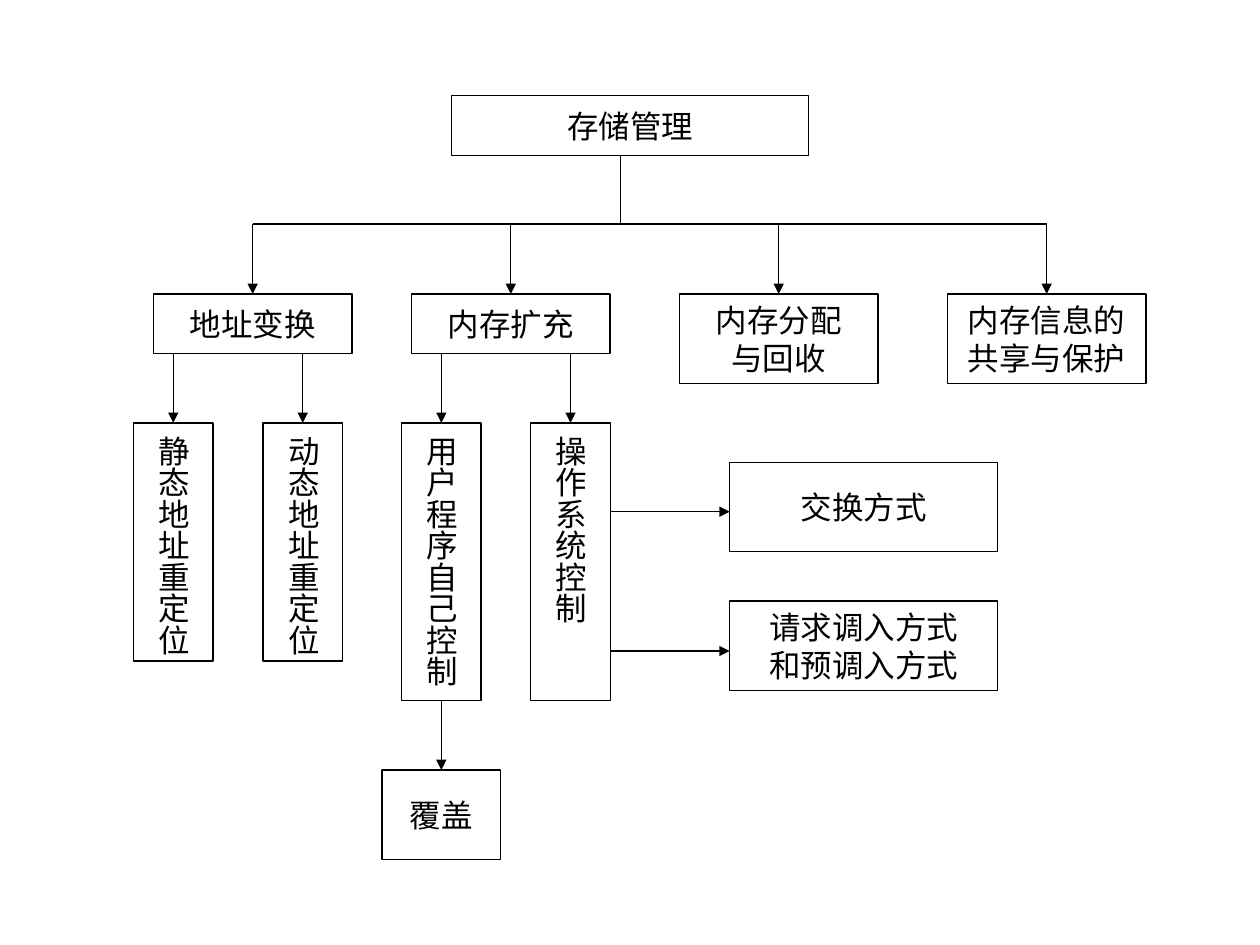
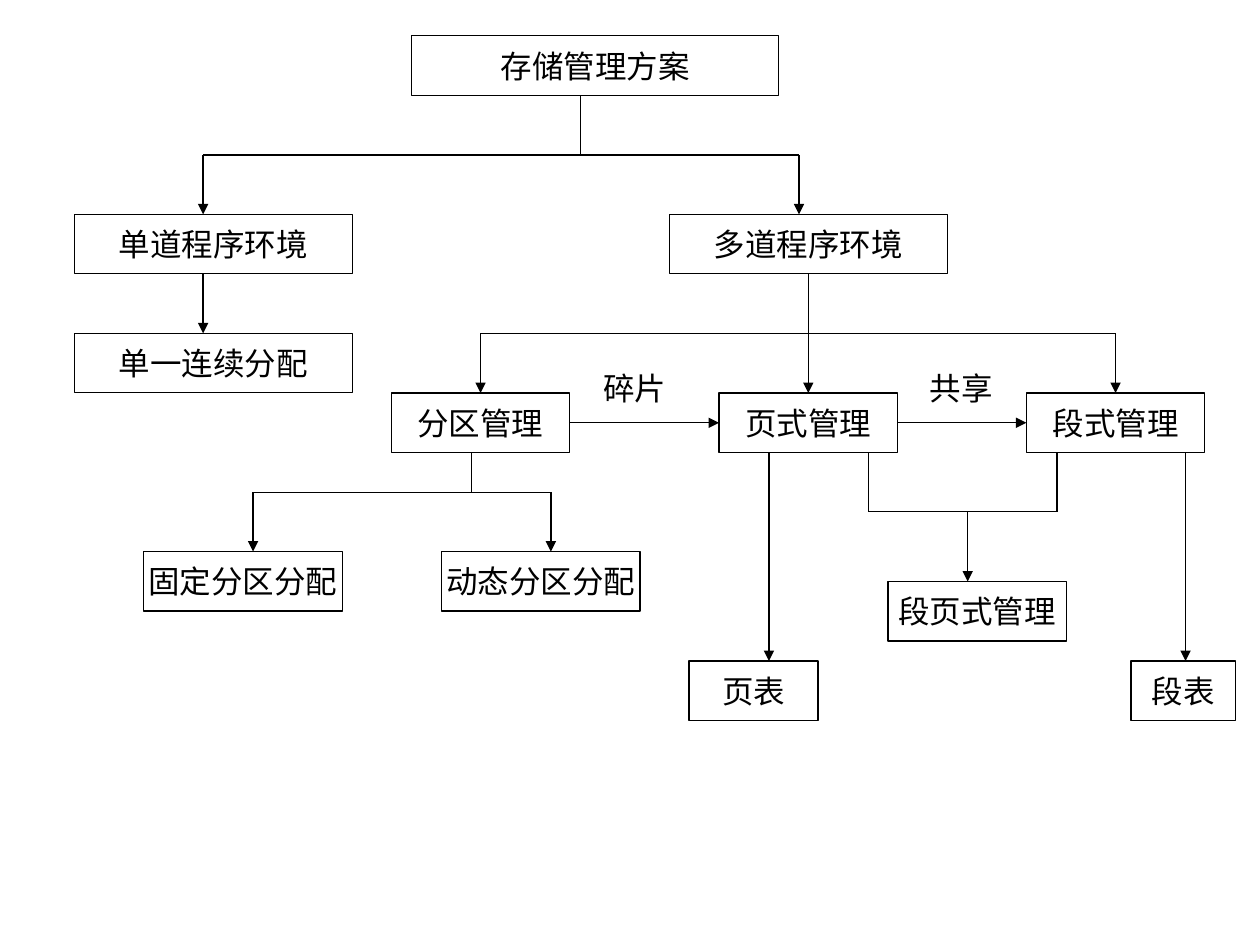
from lxml.etree import SubElement
from pptx import Presentation
from pptx.dml.color import RGBColor
from pptx.enum.shapes import MSO_CONNECTOR, MSO_SHAPE
from pptx.enum.text import MSO_ANCHOR, PP_ALIGN
from pptx.oxml.ns import qn
from pptx.util import Pt

INK, PAPER = "000000", "FFFFFF"
FONT, TEXT_SIZE, LINE_WIDTH = "Arial", 18, 0.75
ROW, TALL_ROW = 34, 51
TOP, LEFT, BOTTOM, RIGHT = range(4)

# rows: top, width, height, vertical, [(wording, left)]
# An x or y of None means the middle of the target box.
MEMORY_MANAGEMENT = {
    "rows": [
        (54.7, 204, ROW, False, [("存储管理", 258)]),
        (168, 113.4, ROW, False, [("地址变换", 87.7), ("内存扩充", 235.2)]),
        (168, 113.4, TALL_ROW, False,
         [("内存分配\n与回收", 388.3), ("内存信息的\n共享与保护", 541.4)]),
        (241.7, 45.4, 136, True, [("静态地址重定位", 76.3), ("动态地址重定位", 150.3)]),
        (241.7, 45.4, 158.7, True, [("用户程序自己控制", 229.5), ("操作系统控制", 303.3)]),
        (440, 68, TALL_ROW, False, [("覆盖", 218.2)]),
        (264.2, 153, TALL_ROW, False, [("交换方式", 417)]),
        (343.5, 153, TALL_ROW, False, [("请求调入方式\n和预调入方式", 417)]),
    ],
    "branches": [
        ("存储管理", 354.4, 128, [("地址变换", None), ("内存扩充", None),
                              ("内存分配\n与回收", None), ("内存信息的\n共享与保护", None)]),
    ],
    "drops": [
        ("地址变换", "静态地址重定位", None),
        ("地址变换", "动态地址重定位", None),
        ("内存扩充", "用户程序自己控制", None),
        ("内存扩充", "操作系统控制", None),
        ("用户程序自己控制", "覆盖", None),
    ],
    "steps": [
        ("操作系统控制", "交换方式", 292.4),
        ("操作系统控制", "请求调入方式\n和预调入方式", 372),
    ],
    "merges": [],
    "labels": [],
}

MANAGEMENT_SCHEMES = {
    "rows": [
        (20.4, 209.8, ROW, False, [("存储管理方案", 235.2)]),
        (122.5, 159, ROW, False, [("单道程序环境", 42.4), ("多道程序环境", 382.4)]),
        (190.5, 159, ROW, False, [("单一连续分配", 42.4)]),
        (224.6, 102, ROW, False,
         [("分区管理", 223.6), ("页式管理", 410.9), ("段式管理", 586.5)]),
        (315.2, 113.7, ROW, False, [("固定分区分配", 81.9), ("动态分区分配", 252.1)]),
        (332.3, 102, ROW, False, [("段页式管理", 507.4)]),
        (377.7, 73.7, ROW, False, [("页表", 393.8)]),
        (377.7, 59.8, ROW, False, [("段表", 646.3)]),
    ],
    "branches": [
        ("存储管理方案", 331.7, 88.6, [("单道程序环境", 116.1), ("多道程序环境", 456.6)]),
        ("多道程序环境", 461.9, 190.5,
         [("分区管理", None), ("页式管理", None), ("段式管理", None)]),
        ("分区管理", 269.4, 281.4, [("固定分区分配", 144.6), ("动态分区分配", 314.8)]),
    ],
    "drops": [
        ("单道程序环境", "单一连续分配", 116.1),
        ("页式管理", "页表", 439.4),
        ("段式管理", "段表", 677.5),
    ],
    "steps": [("分区管理", "页式管理", None), ("页式管理", "段式管理", None)],
    "merges": [([("页式管理", 496.1), ("段式管理", 604)], 292.5, "段页式管理", 553)],
    "labels": [("碎片", 337.7), ("共享", 524.2)],
}
LABEL_TOP, LABEL_WIDTH, LABEL_HEIGHT = 207.4, 62.6, 28.8


def color(hex_string):
    return RGBColor.from_string(hex_string)


def write(shape, wording, align):
    frame = shape.text_frame
    frame.text = wording
    for paragraph in frame.paragraphs:
        paragraph.alignment = align
        for run in paragraph.runs:
            run.font.name = FONT
            run.font.size = Pt(TEXT_SIZE)
            run.font.color.rgb = color(INK)
    return frame


class Chart:
    def __init__(self, slide):
        self.shapes = slide.shapes
        self.boxes = {}

    def box(self, wording, left, top, width, height, vertical):
        shape = self.shapes.add_shape(
            MSO_SHAPE.RECTANGLE, Pt(left), Pt(top), Pt(width), Pt(height))
        shape.shadow.inherit = False
        shape.fill.solid()
        shape.fill.fore_color.rgb = color(PAPER)
        shape.line.color.rgb = color(INK)
        shape.line.width = Pt(LINE_WIDTH)
        frame = write(shape, wording, PP_ALIGN.CENTER)
        frame.word_wrap = False
        frame.vertical_anchor = MSO_ANCHOR.MIDDLE
        if vertical:
            shape.element.txBody.bodyPr.set("vert", "eaVert")
            frame.margin_left = frame.margin_right = Pt(3.6)
            frame.margin_top = frame.margin_bottom = Pt(7.2)
        self.boxes[wording] = shape

    def label(self, wording, left):
        shape = self.shapes.add_textbox(
            Pt(left), Pt(LABEL_TOP), Pt(LABEL_WIDTH), Pt(LABEL_HEIGHT))
        write(shape, wording, PP_ALIGN.LEFT).word_wrap = True

    def middles(self, wording):
        shape = self.boxes[wording]
        left, top = shape.left.pt, shape.top.pt
        width, height = shape.width.pt, shape.height.pt
        return {
            TOP: (left + width / 2, top),
            LEFT: (left, top + height / 2),
            BOTTOM: (left + width / 2, top + height),
            RIGHT: (left + width, top + height / 2),
        }

    def side(self, wording, side, along=None):
        x, y = self.middles(wording)[side]
        if along is None:
            return x, y
        return (along, y) if side in (TOP, BOTTOM) else (x, along)

    def join(self, connect, point):
        for wording, shape in self.boxes.items():
            for site, middle in self.middles(wording).items():
                if max(abs(a - b) for a, b in zip(point, middle)) < 0.5:
                    connect(shape, site)

    def link(self, start, end, arrow=False):
        connector = self.shapes.add_connector(
            MSO_CONNECTOR.STRAIGHT, *(Pt(value) for value in (*start, *end)))
        connector.line.color.rgb = color(INK)
        connector.line.width = Pt(LINE_WIDTH)
        properties = connector.element.spPr
        if arrow:
            SubElement(properties.find(qn("a:ln")), qn("a:tailEnd"), type="triangle")
        SubElement(properties, qn("a:effectLst"))
        self.join(connector.begin_connect, start)
        self.join(connector.end_connect, end)

    def branch(self, parent, stem, bar, children):
        self.link(self.side(parent, BOTTOM, stem), (stem, bar))
        ends = [self.side(child, TOP, x) for child, x in children]
        self.link((ends[0][0], bar), (ends[-1][0], bar))
        for end in ends:
            self.link((end[0], bar), end, arrow=True)

    def drop(self, parent, child, x):
        end = self.side(child, TOP, x)
        self.link(self.side(parent, BOTTOM, end[0]), end, arrow=True)

    def step(self, source, target, y):
        end = self.side(target, LEFT, y)
        self.link(self.side(source, RIGHT, end[1]), end, arrow=True)

    def merge(self, sources, bar, target, x):
        for source, stem in sources:
            self.link(self.side(source, BOTTOM, stem), (stem, bar))
        self.link((sources[0][1], bar), (sources[-1][1], bar))
        self.link((x, bar), self.side(target, TOP, x), arrow=True)


def draw(slide, content):
    chart = Chart(slide)
    for top, width, height, vertical, entries in content["rows"]:
        for wording, left in entries:
            chart.box(wording, left, top, width, height, vertical)
    for part, place in (("branches", chart.branch), ("drops", chart.drop),
                        ("steps", chart.step), ("merges", chart.merge),
                        ("labels", chart.label)):
        for entry in content[part]:
            place(*entry)


def main():
    deck = Presentation()
    deck.slide_width, deck.slide_height = Pt(720), Pt(540)
    for content in (MEMORY_MANAGEMENT, MANAGEMENT_SCHEMES):
        draw(deck.slides.add_slide(deck.slide_layouts[6]), content)
    deck.save("out.pptx")


if __name__ == "__main__":
    main()
